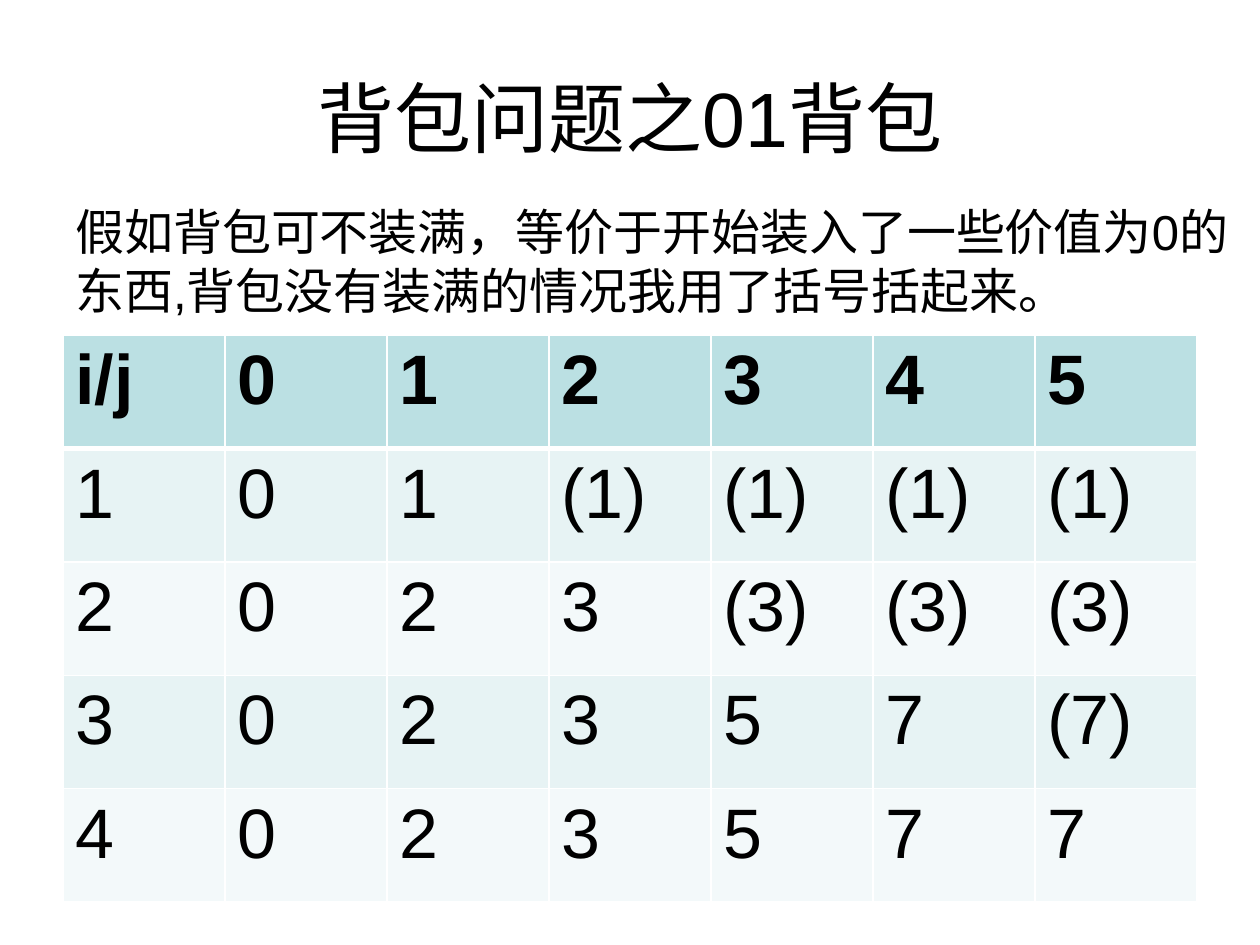
from dataclasses import dataclass

import lxml.etree
import pptx
import pptx.dml.color
import pptx.enum.text
import pptx.oxml.ns
import pptx.util
from pptx.util import Inches


@dataclass
class Row:
    values: list[str]
    fill: str
    top: int = 1
    bottom: int = 1
    bold: bool = False


HEADER, ODD, EVEN = "BBE0E3", "E7F3F4", "F3F9FA"
ROWS = [
    Row(["i/j", "0", "1", "2", "3", "4", "5"], HEADER, bottom=3, bold=True),
    Row(["1", "0", "1", "(1)", "(1)", "(1)", "(1)"], ODD, top=3),
    Row(["2", "0", "2", "3", "(3)", "(3)", "(3)"], EVEN),
    Row(["3", "0", "2", "3", "5", "7", "(7)"], ODD),
    Row(["4", "0", "2", "3", "5", "7", "7"], EVEN),
]


def rgb(value: str) -> pptx.dml.color.RGBColor:
    return pptx.dml.color.RGBColor.from_string(value)


def write(tf, text: str, size: int, bold: bool = False) -> None:
    p = tf.paragraphs[0]
    r = p.add_run()
    r.text = text
    font_format = {"name": "Arial", "size": pptx.util.Pt(size), "bold": bold}
    for name, value in font_format.items():
        setattr(r.font, name, value)
    r.font.color.rgb = rgb("000000")


def add_borders(cell, row: Row) -> None:
    qn = pptx.oxml.ns.qn
    tcPr = cell._tc.get_or_add_tcPr()
    widths = {"a:lnL": 1, "a:lnR": 1, "a:lnT": row.top, "a:lnB": row.bottom}
    for tag, width in widths.items():
        ln = lxml.etree.SubElement(tcPr, qn(tag), w=str(pptx.util.Pt(width)))
        fill = lxml.etree.SubElement(ln, qn("a:solidFill"))
        lxml.etree.SubElement(fill, qn("a:srgbClr"), val="FFFFFF")


def draw_row(table, index: int, row: Row) -> None:
    table.rows[index].height = Inches(0.9)
    for column, value in enumerate(row.values):
        cell = table.cell(index, column)
        add_borders(cell, row)
        cell.fill.solid()
        cell.fill.fore_color.rgb = rgb(row.fill)
        write(cell.text_frame, value, 40, row.bold)


def main() -> None:
    prs = pptx.Presentation()
    prs.slide_width, prs.slide_height = Inches(10), Inches(7.5)
    s = prs.slides.add_slide(prs.slide_layouts[5])

    title = s.shapes.title
    place = {"left": 0.5, "top": 0.3, "width": 9, "height": 1.25}
    for name, value in place.items():
        setattr(title, name, Inches(value))
    title.text_frame.vertical_anchor = pptx.enum.text.MSO_ANCHOR.MIDDLE
    title.text_frame.paragraphs[0].alignment = pptx.enum.text.PP_ALIGN.CENTER
    write(title.text_frame, "背包问题之01背包", 44)

    table = s.shapes.add_table(
        len(ROWS), len(ROWS[0].values),
        Inches(0.5), Inches(2.66), Inches(9), Inches(4.48),
    ).table
    for index, row in enumerate(ROWS):
        draw_row(table, index, row)

    sp = s.shapes.add_textbox(Inches(0.5), Inches(1.55), Inches(9.5), Inches(1.04))
    tf = sp.text_frame
    tf.word_wrap = True
    write(tf, "假如背包可不装满，等价于开始装入了一些价值为0的东西,背包没有装满的情况我用了括号括起来。", 28)

    prs.save("out.pptx")


if __name__ == "__main__":
    main()
